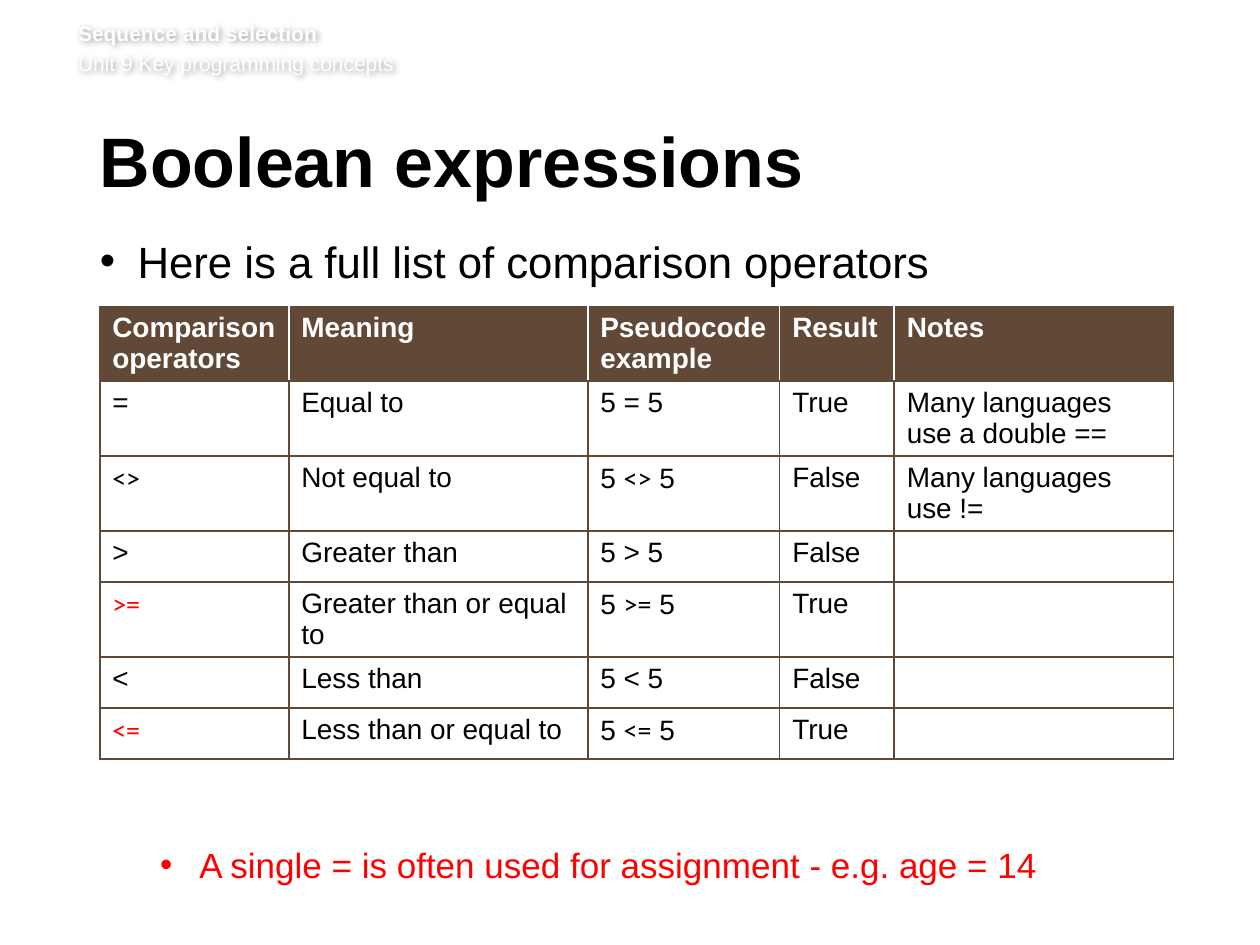
from dataclasses import dataclass

from lxml import etree
from pptx import Presentation
from pptx import util as u
from pptx.dml import color
from pptx.enum import text
from pptx.oxml import ns

Pt = u.Pt


@dataclass(frozen=True)
class Theme:
    """Colours, fonts and type sizes of the slide."""
    ink: str = "000000"
    paper: str = "FFFFFF"
    accent: str = "FF0000"
    brown: str = "624837"
    face: str = "Arial"
    operator_face: str = "Calibri"
    header_size: float = 12
    title_size: float = 40
    lead_size: float = 25
    note_size: float = 20
    table_size: float = 16


THEME = Theme()
HEADINGS = ["Comparison operators", "Meaning", "Pseudocode example", "Result", "Notes"]
OPERATORS = [
    ("=", "Equal to", "True", "Many languages use a double =="),
    ("<>", "Not equal to", "False", "Many languages use !="),
    (">", "Greater than", "False", ""),
    (">=", "Greater than or equal to", "True", ""),
    ("<", "Less than", "False", ""),
    ("<=", "Less than or equal to", "True", ""),
]
COLUMN_WIDTHS = [108, 170.9, 109.7, 65.4, 159.7]
ROW_HEIGHT = 29.2


def set_values(target, values):
    """Set each attribute named in a dict of format values."""
    for name, value in values.items():
        setattr(target, name, value)


def add_span(para, wording, size, ink=THEME.ink, bold=False, face=THEME.face):
    """Add one formatted run to a paragraph."""
    span = para.add_run()
    span.text = wording
    set_values(span.font, {"size": Pt(size), "bold": bold, "name": face})
    span.font.color.rgb = color.RGBColor.from_string(ink)


def add_child(parent, tag, **attributes):
    """Append a DrawingML element and return it."""
    return etree.SubElement(parent, ns.qn(tag), attributes)


def format_frame(frame, top=0, right=7.2):
    """Give a text frame wrapping, margins and a top anchor."""
    set_values(frame, {
        "word_wrap": True, "auto_size": text.MSO_AUTO_SIZE.NONE,
        "vertical_anchor": text.MSO_ANCHOR.TOP,
        "margin_left": 0, "margin_top": Pt(top),
        "margin_right": Pt(right), "margin_bottom": Pt(3.6),
    })


def add_header(page, left, top, width, height):
    """Place the two shadowed header lines."""
    box = page.shapes.add_textbox(Pt(left), Pt(top), Pt(width), Pt(height))
    format_frame(box.text_frame, right=0)
    effects = add_child(box.element.spPr, "a:effectLst")
    shadow = add_child(effects, "a:outerShdw", blurRad=str(Pt(4)), dist=str(Pt(1)),
                       dir="2700000", algn="tl", rotWithShape="0")
    shade = add_child(shadow, "a:srgbClr", val=THEME.ink)
    add_child(shade, "a:alpha", val="40000")
    first = box.text_frame.paragraphs[0]
    second = box.text_frame.add_paragraph()
    second.space_before = Pt(2.9)
    add_span(first, "Sequence and selection", THEME.header_size, THEME.paper, True)
    add_span(second, "Unit 9 Key programming concepts", THEME.header_size, THEME.paper)


def place_title(page, left, top, width, height):
    """Move and format the title placeholder."""
    box = page.shapes.title
    set_values(box, {"left": Pt(left), "top": Pt(top),
                     "width": Pt(width), "height": Pt(height)})
    format_frame(box.text_frame, top=3.6)
    para = box.text_frame.paragraphs[0]
    set_values(para, {"alignment": text.PP_ALIGN.LEFT, "line_spacing": Pt(39)})
    add_span(para, "Boolean expressions", THEME.title_size, bold=True)


def add_bullet(page, left, top, width, height, wording, size, ink, hang):
    """Place one bulleted line whose text hangs clear of its bullet."""
    box = page.shapes.add_textbox(Pt(left), Pt(top), Pt(width), Pt(height))
    format_frame(box.text_frame)
    para = box.text_frame.paragraphs[0]
    properties = para._p.get_or_add_pPr()
    set_values_xml = {"marL": str(Pt(hang)), "indent": str(-Pt(hang))}
    properties.attrib.update(set_values_xml)
    add_child(properties, "a:buFont", typeface=THEME.face)
    add_child(properties, "a:buChar", char="•")
    add_span(para, wording, size, ink)


def format_cell(cell, fill, sides):
    """Draw a cell's borders in the given colours, then fill it."""
    properties = cell._tc.get_or_add_tcPr()
    for side, ink in sides.items():
        line = add_child(properties, f"a:ln{side}", w=str(Pt(1)))
        add_child(add_child(line, "a:solidFill"), "a:srgbClr", val=ink)
    if fill:
        cell.fill.solid()
        cell.fill.fore_color.rgb = color.RGBColor.from_string(fill)
    else:
        cell.fill.background()


def add_operator_table(page, left, top, width):
    """Place the table of comparison operators."""
    rows = len(OPERATORS) + 1
    frame = page.shapes.add_table(rows, len(HEADINGS), Pt(left), Pt(top),
                                  Pt(width), Pt(ROW_HEIGHT * rows))
    table = frame.table
    set_values(table, {"first_row": True, "horz_banding": False})
    for column, size in zip(table.columns, COLUMN_WIDTHS):
        column.width = Pt(size)
    for row in table.rows:
        row.height = Pt(ROW_HEIGHT)

    last = len(HEADINGS) - 1
    for index, heading in enumerate(HEADINGS):
        cell = table.cell(0, index)
        sides = {"L": THEME.paper if index else THEME.brown,
                 "R": THEME.paper if index < last else THEME.brown,
                 "T": THEME.brown, "B": THEME.brown}
        format_cell(cell, THEME.brown, sides)
        add_span(cell.text_frame.paragraphs[0], heading, THEME.table_size, THEME.paper, True)

    for number, (operator, meaning, result, note) in enumerate(OPERATORS, 1):
        face = THEME.operator_face if len(operator) > 1 else THEME.face
        ink = THEME.accent if operator in (">=", "<=") else THEME.ink
        plain = (THEME.ink, THEME.face)
        contents = [
            [(operator, ink, face)],
            [(meaning, *plain)],
            [("5 ", *plain), (operator, THEME.ink, face), (" 5", *plain)],
            [(result, *plain)],
            [(note, *plain)] if note else [],
        ]
        for index, spans in enumerate(contents):
            cell = table.cell(number, index)
            format_cell(cell, None, dict.fromkeys("LRTB", THEME.brown))
            para = cell.text_frame.paragraphs[0]
            para.font.size = Pt(THEME.table_size)
            for wording, tint, typeface in spans:
                add_span(para, wording, THEME.table_size, tint, face=typeface)


def main():
    """Build and save the slide."""
    deck = Presentation()
    set_values(deck, {"slide_width": Pt(720), "slide_height": Pt(540)})
    page = deck.slides.add_slide(deck.slide_layouts[5])
    add_header(page, 44.6, 11.5, 635, 35.3)
    place_title(page, 57, 72.5, 615.6, 52.6)
    add_bullet(page, 57, 134, 614, 36, "Here is a full list of comparison operators",
               THEME.lead_size, THEME.ink, 21.6)
    add_operator_table(page, 57, 175, sum(COLUMN_WIDTHS))
    add_bullet(page, 91.6, 482, 579.4, 30,
               "A single = is often used for assignment - e.g. age = 14",
               THEME.note_size, THEME.accent, 22.3)
    deck.save("out.pptx")


if __name__ == "__main__":
    main()
